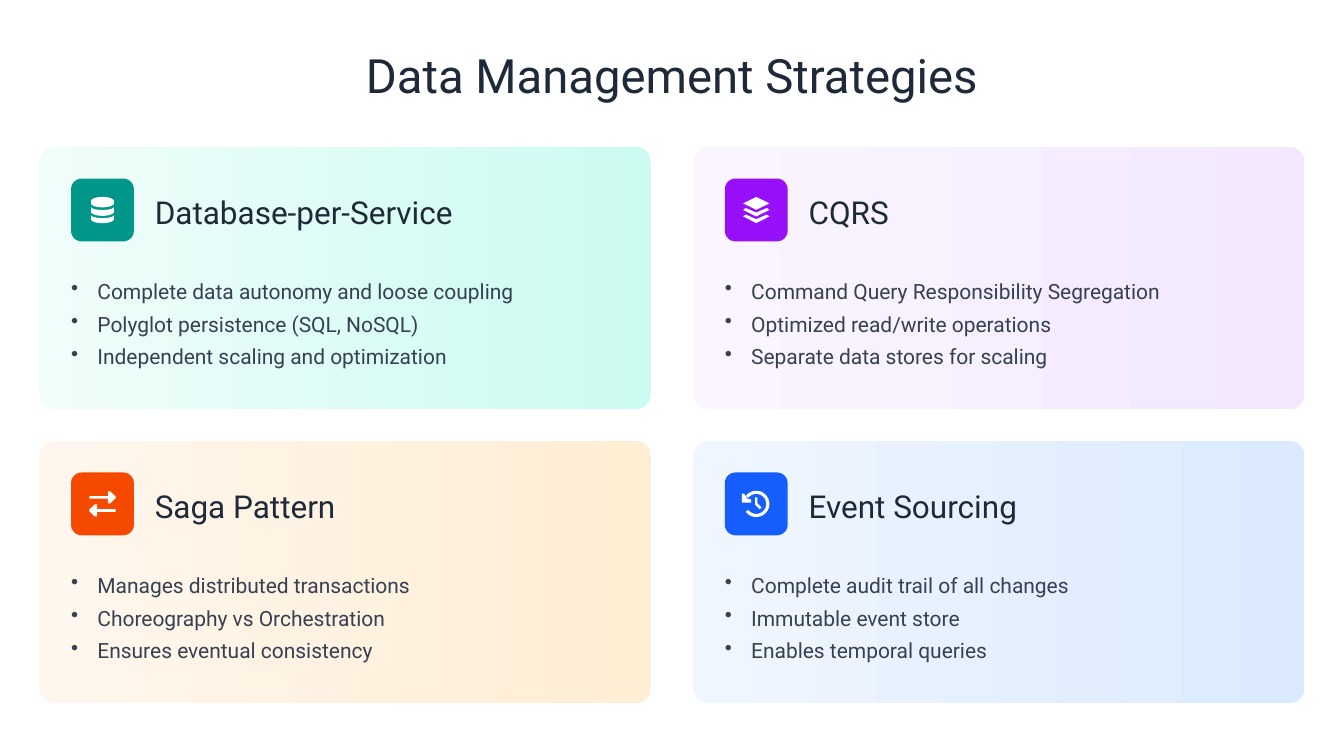
from dataclasses import dataclass
from math import cos, radians, sin

from lxml.etree import SubElement
from pptx import Presentation
from pptx.dml.color import RGBColor
from pptx.enum.shapes import MSO_SHAPE
from pptx.enum.text import MSO_ANCHOR, MSO_AUTO_SIZE, PP_ALIGN
from pptx.oxml.ns import qn
from pptx.util import Cm, Pt

TITLE = "Data Management Strategies"
CARDS = [
    {
        "heading": "Database-per-Service", "heading_width": 8.69, "icon": "database",
        "gradient": ("F0FDFA", "CBFBF1"), "accent": "009689",
        "points": ["Complete data autonomy and loose coupling",
                   "Polyglot persistence (SQL, NoSQL)",
                   "Independent scaling and optimization"],
    },
    {
        "heading": "CQRS", "heading_width": 3.15, "icon": "layers",
        "gradient": ("FAF5FF", "F3E8FF"), "accent": "9810FA",
        "points": ["Command Query Responsibility Segregation",
                   "Optimized read/write operations",
                   "Separate data stores for scaling"],
    },
    {
        "heading": "Saga Pattern", "heading_width": 5.74, "icon": "arrows",
        "gradient": ("FFF7ED", "FFEDD4"), "accent": "F54900",
        "points": ["Manages distributed transactions",
                   "Choreography vs Orchestration",
                   "Ensures eventual consistency"],
    },
    {
        "heading": "Event Sourcing", "heading_width": 6.5, "icon": "history",
        "gradient": ("EFF6FF", "DBEAFE"), "accent": "155DFC",
        "points": ["Complete audit trail of all changes",
                   "Immutable event store",
                   "Enables temporal queries"],
    },
]


@dataclass(frozen=True)
class Theme:
    font: str = "Roboto"
    heading_color: str = "1E2939"
    body_color: str = "364153"
    icon_color: str = "FFFFFF"
    title_size: int = 36
    heading_size: int = 24
    body_size: int = 16


THEME = Theme()
COLUMNS = 2
CARD_LEFT, CARD_TOP = Cm(1.06), Cm(3.95)
CARD_WIDTH, CARD_HEIGHT = Cm(16.43), Cm(7.05)
COLUMN_STEP, ROW_STEP = Cm(17.57), Cm(7.9)
PADDING, TILE_SIZE = Cm(0.85), Cm(1.69)
HEADING_X, HEADING_Y, HEADING_HEIGHT = Cm(3.1), Cm(1.13), Cm(1.13)
BULLETS_Y, BULLETS_WIDTH, BULLETS_HEIGHT = Cm(3.1), Cm(14.75), Cm(3.1)
BULLET_INDENT = Cm(0.71)
ICON_GRID = 66.67
CENTER = ICON_GRID / 2


def arc(center_y, radius_x, radius_y, start, end, steps=40):
    angles = [radians(start + (end - start) * step / steps) for step in range(steps + 1)]
    return [(CENTER + radius_x * cos(a), center_y + radius_y * sin(a)) for a in angles]


def disk_band(top, top_depth, bottom):
    return arc(top, 12.15, top_depth, 180, 0) + arc(bottom, 12.15, 4.3, 0, 180)


def chevron(top):
    return [(22.2, top), (CENTER, top + 4.9), (44.4, top), (47.2, top + 2),
            (CENTER, top + 9), (19.4, top + 2)]


RIGHT_ARROW = [(19.5, 25), (39, 25), (39, 20), (41.5, 20), (47.2, 25.4), (47.2, 27.4),
               (41.5, 32.8), (39, 32.8), (39, 27.8), (19.5, 27.8)]
ICONS = {
    "database": [disk_band(24, -4.6, 26.2), disk_band(30, 3.3, 35.2), disk_band(38.6, 3.3, 43)],
    "layers": [[(19.4, 26.3), (CENTER, 19.5), (47.2, 26.3), (CENTER, 33.1)],
               chevron(31.2), chevron(38.2)],
    "arrows": [RIGHT_ARROW, [(ICON_GRID - x, ICON_GRID - y) for x, y in RIGHT_ARROW]],
    "history": [arc(CENTER, 13.9, 13.9, 143, -143) + arc(CENTER, 10.6, 10.6, -143, 143),
                [(18.1, 22.5), (20.5, 22.5), (24, 28), (27.8, 28.7), (27.8, 31.9), (18.1, 31.9)],
                [(32, 26.4), (34.6, 26.4), (34.6, 32.8), (39, 37), (37, 39), (32, 34)]],
}


def set_solid(shape, color):
    shape.shadow.inherit = False
    shape.fill.solid()
    shape.fill.fore_color.rgb = RGBColor.from_string(color)
    shape.line.fill.background()


def add_rounded(slide, left, top, width, height, radius):
    shape = slide.shapes.add_shape(MSO_SHAPE.ROUNDED_RECTANGLE, left, top, width, height)
    shape.adjustments[0] = radius
    return shape


def add_bullet(paragraph):
    properties = paragraph._p.get_or_add_pPr()
    properties.set("marL", str(BULLET_INDENT))
    properties.set("indent", str(-BULLET_INDENT))
    SubElement(properties, qn("a:buChar")).set("char", "•")


def write_text(shape, lines, *, size, color, spacing, align=PP_ALIGN.LEFT, bullets=False):
    frame = shape.text_frame
    frame.word_wrap = True
    frame.auto_size = MSO_AUTO_SIZE.NONE
    frame.vertical_anchor = MSO_ANCHOR.MIDDLE
    frame.margin_left = frame.margin_right = frame.margin_top = frame.margin_bottom = 0
    for index, line in enumerate(lines):
        paragraph = frame.add_paragraph() if index else frame.paragraphs[0]
        if bullets:
            add_bullet(paragraph)
        paragraph.alignment = align
        paragraph.line_spacing = spacing
        run = paragraph.add_run()
        run.text = line
        run.font.name = THEME.font
        run.font.size = Pt(size)
        run.font.color.rgb = RGBColor.from_string(color)


def add_icon(slide, name, left, top):
    unit = TILE_SIZE / ICON_GRID
    for outline in ICONS[name]:
        points = [(round(left + x * unit), round(top + y * unit)) for x, y in outline]
        builder = slide.shapes.build_freeform(*points[0])
        builder.add_line_segments(points[1:], close=True)
        set_solid(builder.convert_to_shape(), THEME.icon_color)


def add_card(slide, card, left, top):
    panel = add_rounded(slide, left, top, CARD_WIDTH, CARD_HEIGHT, 0.06)
    set_solid(panel, card["gradient"][0])
    panel.fill.gradient()
    panel.fill.gradient_angle = 0
    for stop, position, color in zip(panel.fill.gradient_stops, (0, 1), card["gradient"]):
        stop.position = position
        stop.color.rgb = RGBColor.from_string(color)

    tile_left, tile_top = left + PADDING, top + PADDING
    tile = add_rounded(slide, tile_left, tile_top, TILE_SIZE, TILE_SIZE, 0.17)
    set_solid(tile, card["accent"])
    add_icon(slide, card["icon"], tile_left, tile_top)

    heading = slide.shapes.add_textbox(left + HEADING_X, top + HEADING_Y,
                                       Cm(card["heading_width"]), HEADING_HEIGHT)
    write_text(heading, [card["heading"]], size=THEME.heading_size,
               color=THEME.heading_color, spacing=1.1)
    bullets = slide.shapes.add_textbox(left + PADDING, top + BULLETS_Y,
                                       BULLETS_WIDTH, BULLETS_HEIGHT)
    write_text(bullets, card["points"], size=THEME.body_size,
               color=THEME.body_color, spacing=1.3, bullets=True)


def main():
    presentation = Presentation()
    presentation.slide_width, presentation.slide_height = Cm(36.12), Cm(20.32)
    slide = presentation.slides.add_slide(presentation.slide_layouts[5])
    title = slide.shapes.title
    title.left, title.top, title.width, title.height = Cm(0.36), Cm(1.41), Cm(35.4), Cm(1.41)
    write_text(title, [TITLE], size=THEME.title_size, color=THEME.heading_color,
               spacing=0.9, align=PP_ALIGN.CENTER)
    for index, card in enumerate(CARDS):
        row, column = divmod(index, COLUMNS)
        add_card(slide, card, CARD_LEFT + column * COLUMN_STEP, CARD_TOP + row * ROW_STEP)
    presentation.save("out.pptx")


if __name__ == "__main__":
    main()
